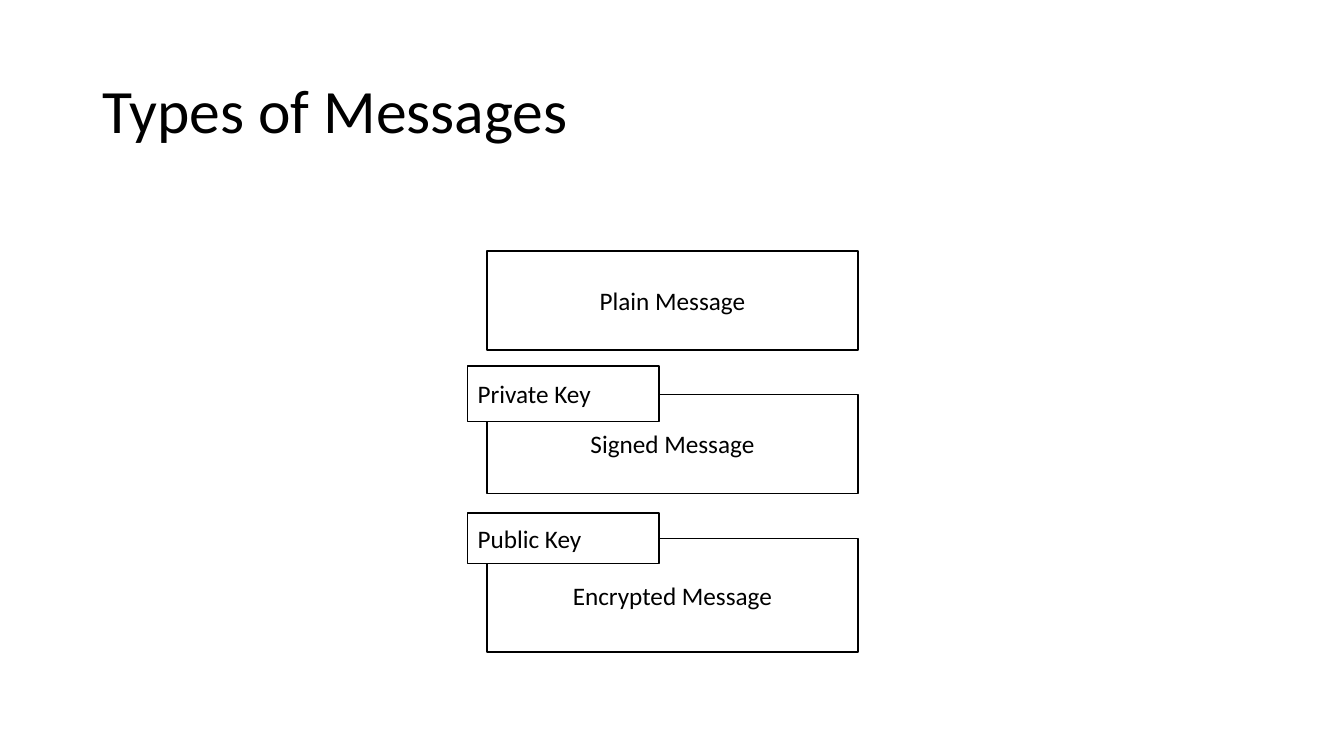
from dataclasses import dataclass
from typing import Optional

from pptx import Presentation
from pptx.enum import shapes, text
from pptx.util import Pt

COLOURS = {"ink": "000000", "paper": "FFFFFF"}
FONT = "Calibri"
MESSAGE_LEFT, MESSAGE_WIDTH = 347.8, 265
KEY_LEFT, KEY_WIDTH = 334.1, 136.8


@dataclass(frozen=True)
class Message:
    label: str
    top: float
    height: float


@dataclass(frozen=True)
class Key:
    label: str
    top: float
    height: float


MESSAGES = [
    Message("Plain Message", 179.3, 70.6),
    Message("Signed Message", 281.7, 70.6),
    Message("Encrypted Message", 384.5, 81.4),
]
KEYS = [
    Key("Private Key", 261.4, 39.6),
    Key("Public Key", 366.5, 36),
]


def colour(name: str):
    from pptx.dml.color import RGBColor
    return RGBColor.from_string(COLOURS[name])


def write(box, words: str, *, size: float = 18, align=text.PP_ALIGN.LEFT,
          spacing: Optional[float] = None) -> None:
    frame = box.text_frame
    frame.word_wrap = True
    frame.vertical_anchor = text.MSO_ANCHOR.MIDDLE
    para = frame.paragraphs[0]
    para.alignment = align
    if spacing is not None:
        para.line_spacing = spacing
    span = para.add_run()
    span.text = words
    span.font.name = FONT
    span.font.size = Pt(size)
    span.font.color.rgb = colour("ink")


def add_box(page, left: float, top: float, width: float, height: float,
            fill: Optional[str] = None):
    box = page.shapes.add_shape(shapes.MSO_SHAPE.RECTANGLE,
                                Pt(left), Pt(top), Pt(width), Pt(height))
    box.shadow.inherit = False
    if fill:
        box.fill.solid()
        box.fill.fore_color.rgb = colour(fill)
    else:
        box.fill.background()
    box.line.color.rgb = colour("ink")
    box.line.width = Pt(1)
    return box


def add_message(page, message: Message) -> None:
    box = add_box(page, MESSAGE_LEFT, message.top, MESSAGE_WIDTH, message.height)
    write(box, message.label, align=text.PP_ALIGN.CENTER)


def add_key(page, key: Key) -> None:
    box = add_box(page, KEY_LEFT, key.top, KEY_WIDTH, key.height, fill="paper")
    write(box, key.label)


def main() -> None:
    deck = Presentation()
    deck.slide_width, deck.slide_height = Pt(960), Pt(540)
    page = deck.slides.add_slide(deck.slide_layouts[6])

    # Title
    title = page.shapes.add_textbox(Pt(66), Pt(28.8), Pt(828), Pt(104.4))
    write(title, "Types of Messages", size=44, spacing=0.9)

    # Messages, then the keys that overlap their corners
    for message in MESSAGES:
        add_message(page, message)
    for key in KEYS:
        add_key(page, key)

    deck.save("out.pptx")


if __name__ == "__main__":
    main()
